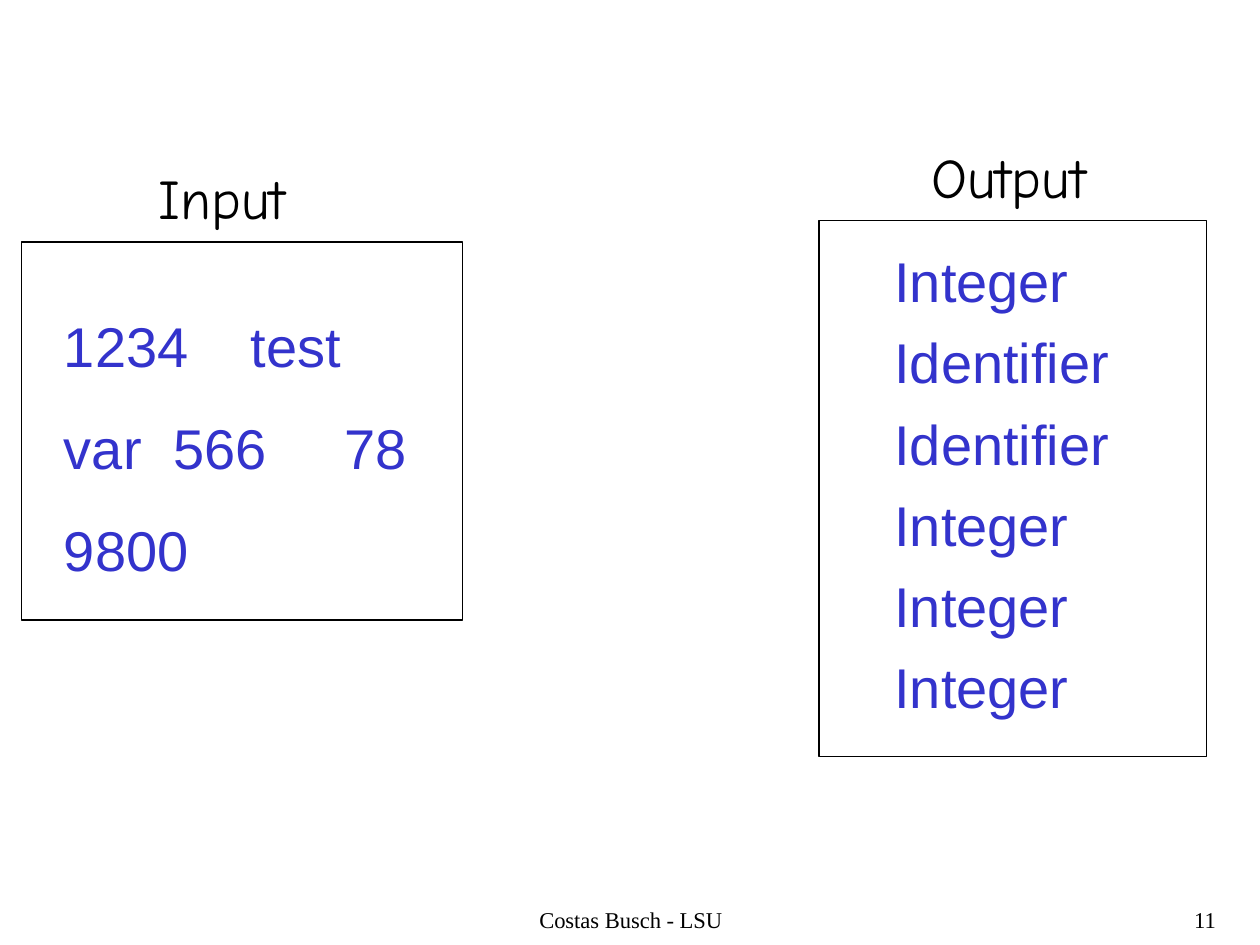
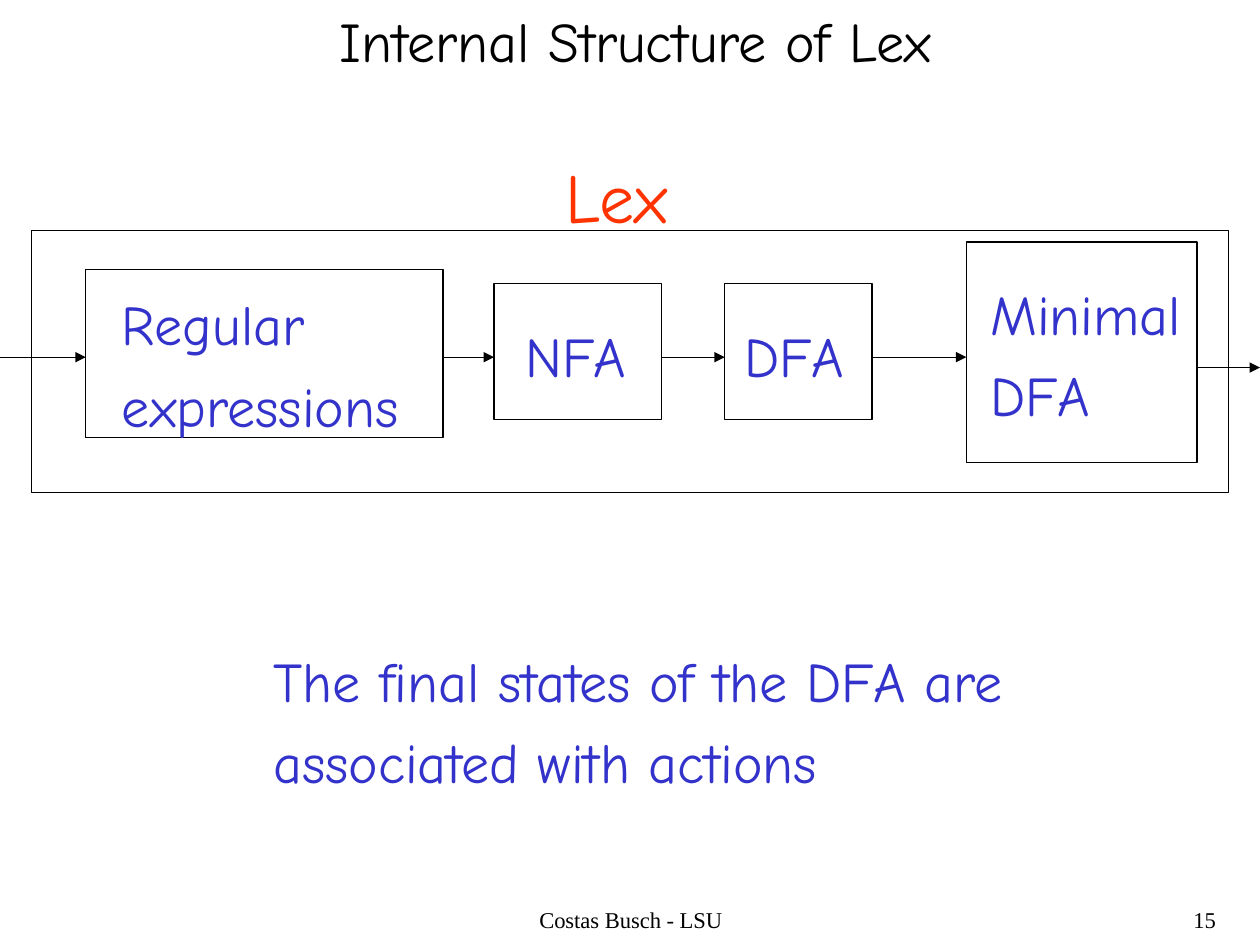
from itertools import pairwise

from lxml.etree import SubElement
from pptx import Presentation
from pptx.dml.color import RGBColor
from pptx.enum.shapes import MSO_CONNECTOR, MSO_SHAPE
from pptx.enum.text import PP_ALIGN
from pptx.oxml.ns import qn
from pptx.util import Cm, Pt

BLACK, BLUE, RED = "000000", "3333CC", "FF3300"
HAND, SANS, SERIF = "Comic Neue", "Arial", "Times New Roman"
SLIDE_WIDTH, SLIDE_HEIGHT = 25.4, 19.05
LINE_WIDTH = 0.75
SLACK = 0.4  # keeps lines from wrapping when fonts differ slightly

# All lengths are in centimetres; boxes are left, top, width, height.
AUTHOR = "Costas Busch - LSU"
AUTHOR_BOX = (8.69, 18.21, 8.05, 0.84)
NUMBER_BOX = (19.48, 18.21, 5.28, 0.84)

INPUT = {
    "heading": "Input", "heading_box": (2.95, 3.18, 3.07, 1.63),
    "frame": (0.43, 4.88, 8.89, 7.62),
    "lines": ["1234\ttest", "var\t566\t78", "9800"],
    "tab_stops": [(3.77,), (2.2, 5.65), ()],
    "lines_box": (1.04, 6.15, 7.42, 5.74), "gap": 20,
}
OUTPUT = {
    "heading": "Output", "heading_box": (18.52, 2.74, 3.63, 1.63),
    "frame": (16.51, 4.45, 7.82, 10.8),
    "lines": ["Integer", "Identifier", "Identifier",
              "Integer", "Integer", "Integer"],
    "tab_stops": [()] * 6,
    "lines_box": (17.78, 4.85, 4.83, 9.8), "gap": 8,
}

TITLE, TITLE_BOX = "Internal Structure of Lex", (6.6, 0, 12.52, 1.63)
LEX, LEX_BOX = "Lex", (11.15, 2.97, 2.59, 1.96)
LEX_FRAME = (0.64, 4.65, 24.13, 5.28)
STAGES = [  # lines, frame, text box
    (["Regular", "expressions"], (1.73, 5.44, 7.2, 3.38), (2.21, 5.72, 6.1, 3.25)),
    (["NFA"], (9.96, 5.72, 3.38, 2.74), (10.34, 6.35, 2.57, 1.63)),
    (["DFA"], (14.61, 5.72, 2.97, 2.74), (14.76, 6.35, 2.51, 1.63)),
    (["Minimal", "DFA"], (19.48, 4.88, 4.65, 4.45), (19.71, 5.51, 4.34, 3.25)),
]
FLOW_Y, EXIT_Y = 7.2, 7.41
REMARK = ["The final states of the DFA are", "associated with actions"]
REMARK_BOX = (5.26, 12.9, 15.32, 3.25)


def rgb(color):
    return RGBColor.from_string(color)


def add_text(slide, lines, box, color=BLACK, font=HAND, size=32, gap=8,
             align=PP_ALIGN.LEFT, line_spacing=None, tab_stops=None):
    left, top, width, height = box
    if align == PP_ALIGN.LEFT:
        width += SLACK
    frame = slide.shapes.add_textbox(*map(Cm, (left, top, width, height))).text_frame
    frame.word_wrap = True
    frame.text = "\n".join(lines)
    for paragraph, stops in zip(frame.paragraphs, tab_stops or [()] * len(lines)):
        paragraph.alignment = align
        paragraph.space_before = Pt(gap)
        if line_spacing:
            paragraph.line_spacing = line_spacing
        if stops:
            tab_list = SubElement(paragraph._p.get_or_add_pPr(), qn("a:tabLst"))
            for stop in stops:
                SubElement(tab_list, qn("a:tab"), pos=str(Cm(stop)), algn="l")
        for run in paragraph.runs:
            run.font.name, run.font.size = font, Pt(size)
            run.font.color.rgb = rgb(color)


def add_frame(slide, box):
    frame = slide.shapes.add_shape(MSO_SHAPE.RECTANGLE, *map(Cm, box))
    frame.shadow.inherit = False
    frame.fill.background()
    frame.line.color.rgb = rgb(BLACK)
    frame.line.width = Pt(LINE_WIDTH)


def add_arrow(slide, start, end, y):
    arrow = slide.shapes.add_connector(
        MSO_CONNECTOR.STRAIGHT, Cm(start), Cm(y), Cm(end), Cm(y))
    arrow.line.color.rgb = rgb(BLACK)
    arrow.line.width = Pt(LINE_WIDTH)
    SubElement(arrow.line._get_or_add_ln(), qn("a:tailEnd"), type="triangle")
    SubElement(arrow._element.spPr, qn("a:effectLst"))


def add_slide(deck, number):
    """Add a blank slide with the shared footer."""
    slide = deck.slides.add_slide(deck.slide_layouts[6])
    for text, box, align in ((AUTHOR, AUTHOR_BOX, PP_ALIGN.CENTER),
                             (str(number), NUMBER_BOX, PP_ALIGN.RIGHT)):
        add_text(slide, [text], box, font=SERIF, size=12.9, gap=0,
                 align=align, line_spacing=0.9)
    return slide


def build_token_slide(deck):
    slide = add_slide(deck, 11)
    for panel in (INPUT, OUTPUT):
        add_frame(slide, panel["frame"])
        add_text(slide, [panel["heading"]], panel["heading_box"])
        add_text(slide, panel["lines"], panel["lines_box"], BLUE, SANS,
                 gap=panel["gap"], tab_stops=panel["tab_stops"])


def build_structure_slide(deck):
    slide = add_slide(deck, 15)
    add_text(slide, [TITLE], TITLE_BOX)
    add_frame(slide, LEX_FRAME)
    add_text(slide, [LEX], LEX_BOX, RED, size=40, gap=10)
    for lines, frame, text_box in STAGES:
        add_frame(slide, frame)
        add_text(slide, lines, text_box, BLUE)

    edges = [(left, left + width) for _, (left, _, width, _), _ in STAGES]
    add_arrow(slide, 0, edges[0][0], FLOW_Y)
    for (_, start), (end, _) in pairwise(edges):
        add_arrow(slide, start, end, FLOW_Y)
    add_arrow(slide, edges[-1][1], SLIDE_WIDTH, EXIT_Y)
    add_text(slide, REMARK, REMARK_BOX, BLUE)


def main():
    deck = Presentation()
    deck.slide_width, deck.slide_height = Cm(SLIDE_WIDTH), Cm(SLIDE_HEIGHT)
    build_token_slide(deck)
    build_structure_slide(deck)
    deck.save("out.pptx")


if __name__ == "__main__":
    main()
